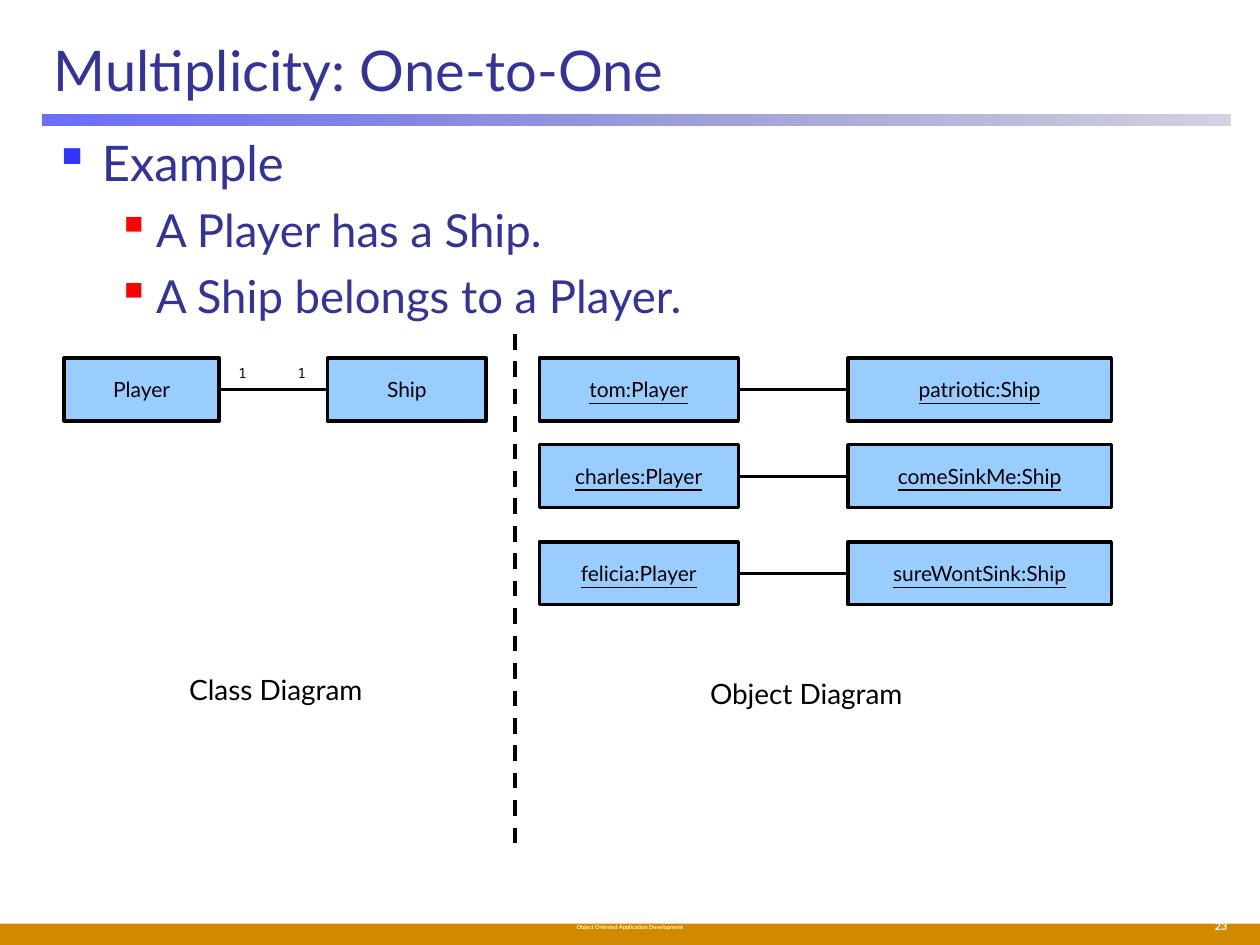
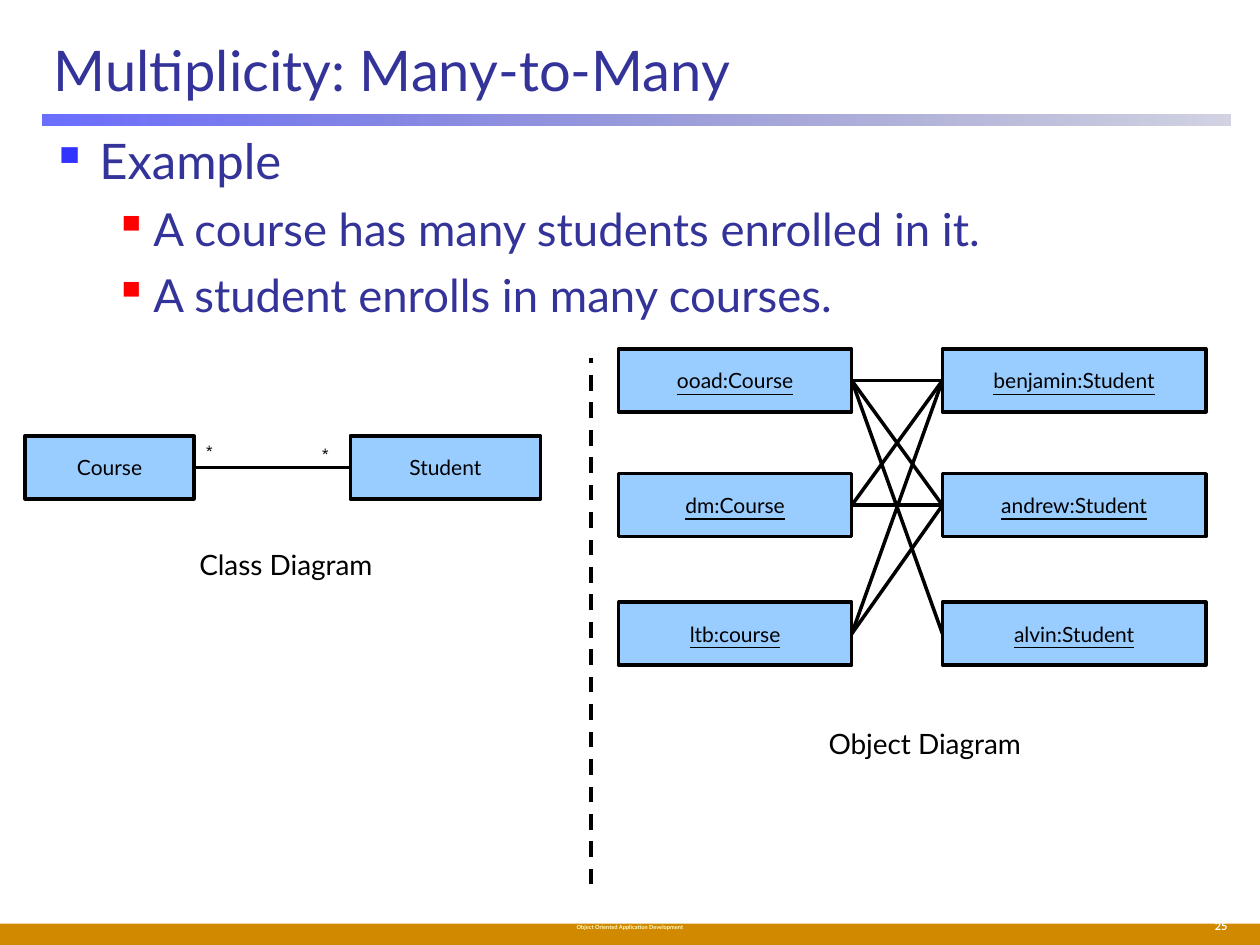
from dataclasses import dataclass

from lxml.etree import SubElement
from pptx import Presentation
from pptx.dml.color import RGBColor
from pptx.enum.dml import MSO_LINE
from pptx.enum.shapes import MSO_CONNECTOR, MSO_SHAPE
from pptx.enum.text import MSO_ANCHOR, PP_ALIGN
from pptx.oxml.ns import qn
from pptx.util import Inches, Pt

RIGHT_SIDE, LEFT_SIDE = 3, 1


@dataclass(frozen=True)
class Theme:
    font: str = "Lato"
    mono: str = "Noto Sans Mono"
    ink: str = "333399"
    black: str = "000000"
    box: str = "99CCFF"
    band: str = "D18A00"
    number: str = "FFFFFF"
    footer: str = "FFFFCC"
    bullets: tuple = ("3333FF", "FF0000")
    rule: tuple = (("464AFC", 80), ("202275", 20))  # colour, opacity in percent
    title_size: float = 32
    body_sizes: tuple = (28, 26)
    caption_size: float = 16
    box_size: float = 12
    end_size: float = 8
    number_size: float = 6.2
    footer_size: float = 3.2


class Deck:
    def __init__(self, theme):
        self.theme = theme
        self.prs = Presentation()
        self.prs.slide_width, self.prs.slide_height = Inches(10), Inches(7.5)
        self.s = None

    def new_slide(self, title, number):
        t = self.theme
        self.s = self.prs.slides.add_slide(self.prs.slide_layouts[6])
        self.rect(0, 7.33, 10, 0.17, t.band)
        self.title_rule()
        self.text(str(number), 8.42, 7.25, 1.42, 0.23, t.number_size, t.number,
                  align=PP_ALIGN.RIGHT, bold=True)
        self.text("Object Oriented Application Development", 3, 7.28, 4, 0.17,
                  t.footer_size, t.footer, bold=True)
        self.text(title, 0.33, 0.17, 9.42, 0.75, t.title_size, t.ink,
                  align=PP_ALIGN.LEFT, anchor=MSO_ANCHOR.MIDDLE)

    def rect(self, x, y, w, h, fill=None):
        sp = self.s.shapes.add_shape(MSO_SHAPE.RECTANGLE, Inches(x), Inches(y),
                                     Inches(w), Inches(h))
        sp.shadow.inherit = False
        sp.line.fill.background()
        if fill:
            sp.fill.solid()
            sp.fill.fore_color.rgb = RGBColor.from_string(fill)
        return sp

    def title_rule(self):
        """Draw the bar under the title, fading from left to right."""
        sp = self.rect(0.34, 0.91, 9.43, 0.09)
        sp.fill.gradient()
        sp.fill.gradient_angle = 0
        for stop, (color, _) in zip(sp.fill.gradient_stops, self.theme.rule):
            stop.color.rgb = RGBColor.from_string(color)
        colors = list(sp.element.spPr.iter(qn("a:srgbClr")))
        for clr, (_, opacity) in zip(colors, self.theme.rule):
            SubElement(clr, qn("a:alpha")).set("val", str(opacity * 1000))

    def run(self, p, text, size, color, font=None, bold=False, underline=False):
        r = p.add_run()
        r.text = text
        r.font.name = font or self.theme.font
        r.font.size = Pt(size)
        r.font.color.rgb = RGBColor.from_string(color)
        if bold:
            r.font.bold = True
        if underline:
            r.font.underline = True

    def frame(self, x, y, w, h):
        tf = self.s.shapes.add_textbox(Inches(x), Inches(y), Inches(w), Inches(h)).text_frame
        tf.word_wrap = True
        return tf

    def text(self, text, x, y, w, h, size, color, align=PP_ALIGN.CENTER,
             anchor=MSO_ANCHOR.TOP, **style):
        tf = self.frame(x, y, w, h)
        tf.vertical_anchor = anchor
        p = tf.paragraphs[0]
        p.alignment = align
        self.run(p, text, size, color, **style)

    def bullets(self, x, y, heading, points):
        t = self.theme
        tf = self.frame(x, y, 9.42, 6.08)
        indents = ((0.38, -0.38), (0.81, -0.31))
        for i, text in enumerate([heading, *points]):
            level = min(i, 1)
            p = tf.add_paragraph() if i else tf.paragraphs[0]
            p.level = level
            pPr = p._p.get_or_add_pPr()
            for name, length in zip(("marL", "indent"), indents[level]):
                pPr.set(name, str(Inches(length)))
            clr = SubElement(pPr, qn("a:buClr"))
            SubElement(clr, qn("a:srgbClr")).set("val", t.bullets[level])
            SubElement(pPr, qn("a:buChar")).set("char", "▪")
            if i:
                p.space_before = Pt(6.5)
            self.run(p, text, t.body_sizes[level], t.ink)

    def box(self, text, x, y, w, underline=False):
        t = self.theme
        sp = self.rect(x, y, w, 0.5, t.box)
        sp.line.color.rgb = RGBColor.from_string(t.black)
        sp.line.width = Pt(2)
        tf = sp.text_frame
        tf.word_wrap = False
        tf.vertical_anchor = MSO_ANCHOR.MIDDLE
        p = tf.paragraphs[0]
        p.alignment = PP_ALIGN.CENTER
        self.run(p, text, t.box_size, t.black, underline=underline)
        return sp

    def line(self, x1=0, y1=0, x2=0, y2=0, width=2):
        cx = self.s.shapes.add_connector(MSO_CONNECTOR.STRAIGHT, Inches(x1), Inches(y1),
                                         Inches(x2), Inches(y2))
        cx.line.color.rgb = RGBColor.from_string(self.theme.black)
        cx.line.width = Pt(width)
        SubElement(cx._element.spPr, qn("a:effectLst"))
        return cx

    def link(self, left, right):
        cx = self.line()
        cx.begin_connect(left, RIGHT_SIDE)
        cx.end_connect(right, LEFT_SIDE)

    def divider(self, x, top, bottom):
        self.line(x, top, x, bottom, 2.25).line.dash_style = MSO_LINE.DASH

    def caption(self, text, x, y):
        self.text(text, x, y, 2.8, 0.37, self.theme.caption_size, self.theme.black)

    def class_diagram(self, y, classes, ends, caption_at):
        """classes: (name, left, width); ends: (mark, left, top, width)."""
        self.link(*[self.box(name, x, y, w) for name, x, w in classes])
        for mark, x, top, w in ends:
            self.text(mark, x, top, w, 0.23, self.theme.end_size, self.theme.black,
                      font=self.theme.mono)
        self.caption("Class Diagram", *caption_at)

    def object_diagram(self, rows, columns, links, caption_at):
        """columns: (left, width, names); links: pairs of row indexes."""
        left, right = [[self.box(name, x, y, w, underline=True)
                        for name, y in zip(names, rows)]
                       for x, w, names in columns]
        for i, j in links:
            self.link(left[i], right[j])
        self.caption("Object Diagram", *caption_at)


def one_to_one(deck):
    deck.new_slide("Multiplicity: One-to-One", 23)
    deck.bullets(0.33, 1, "Example",
                 ["A Player has a Ship.", "A Ship belongs to a Player."])
    deck.class_diagram(2.84, [("Player", 0.51, 1.23), ("Ship", 2.6, 1.26)],
                       [("1", 1.77, 2.84, 0.31), ("1", 2.24, 2.84, 0.31)], (0.79, 5.29))
    deck.divider(4.09, 2.65, 6.78)
    deck.object_diagram(
        (2.84, 3.53, 4.3),
        [(4.28, 1.58, ("tom:Player", "charles:Player", "felicia:Player")),
         (6.73, 2.09, ("patriotic:Ship", "comeSinkMe:Ship", "sureWontSink:Ship"))],
        [(i, i) for i in range(3)], (5, 5.32))


def many_to_many(deck):
    deck.new_slide("Multiplicity: Many-to-Many", 25)
    deck.bullets(0.31, 0.99, "Example",
                 ["A course has many students enrolled in it.",
                  "A student enrolls in many courses."])
    deck.class_diagram(3.46, [("Course", 0.2, 1.34), ("Student", 2.78, 1.51)],
                       [("*", 1.53, 3.46, 0.23), ("*", 2.45, 3.49, 0.23)], (0.87, 4.3))
    deck.divider(4.69, 7.02, 2.84)
    deck.object_diagram(
        (2.77, 3.76, 4.78),
        [(4.91, 1.85, ("ooad:Course", "dm:Course", "ltb:course")),
         (7.48, 2.09, ("benjamin:Student", "andrew:Student", "alvin:Student"))],
        [(0, 0), (0, 1), (0, 2), (1, 0), (1, 1), (2, 0), (2, 1)], (5.94, 5.72))


def main():
    deck = Deck(Theme())
    one_to_one(deck)
    many_to_many(deck)
    deck.prs.save("out.pptx")


if __name__ == "__main__":
    main()
